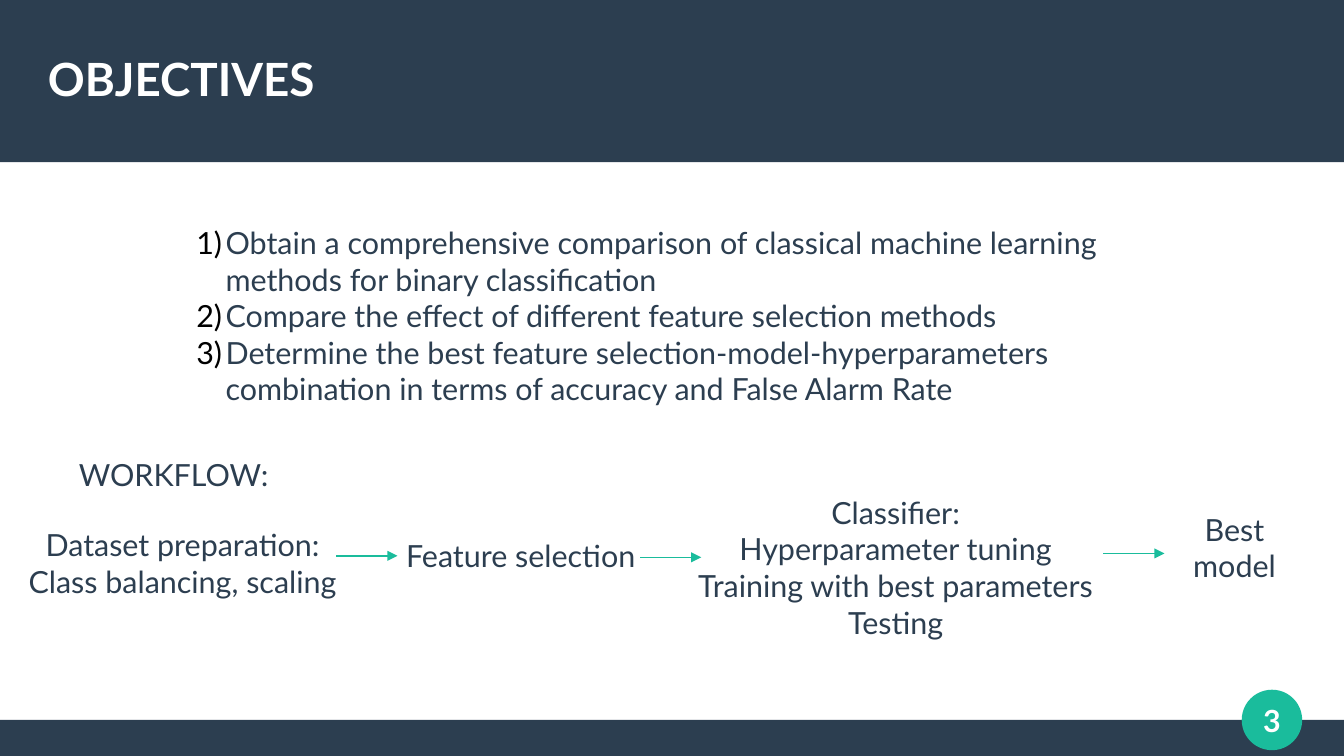
from lxml import etree
from pptx import Presentation
from pptx.dml import color
from pptx.enum import shapes, text
from pptx.oxml import ns
from pptx.util import Cm, Pt

HUES = {"navy": "2C3E50", "teal": "1ABC9C", "white": "FFFFFF", "black": "000000"}
BODY = {"name": "Lato", "size": Pt(18), "bold": False}
BOLD = {**BODY, "bold": True}
HEAD = {**BOLD, "size": Pt(27)}
MID, LEFT = text.PP_ALIGN.CENTER, text.PP_ALIGN.LEFT
HANG = Cm(0.61)

GOALS = [
    "Obtain a comprehensive comparison of classical machine learning "
    "methods for binary classification",
    "Compare the effect of different feature selection methods",
    "Determine the best feature selection-model-hyperparameters "
    "combination in terms of accuracy and False Alarm Rate",
]
# Left, top, width, height in cm, then the lines of text
STEPS = [
    (-0.64, 10.74, 8.89, 1.98, ["Dataset preparation:", "Class balancing, scaling"]),
    (7.04, 11.02, 7.62, 1.12, ["Feature selection"]),
    (13.26, 9.96, 10.8, 3.71, ["Classifier:", "Hyperparameter tuning",
                               "Training with best parameters", "Testing"]),
    (24.13, 10.41, 3.18, 1.98, ["Best model"]),
]
ARROWS = [(7.01, 11.58), (13.34, 11.61), (22.99, 11.53)]


def rgb(hue):
    return color.RGBColor.from_string(HUES[hue])


def add_tag(node, tag, **attrs):
    return etree.SubElement(node, ns.qn(tag), **attrs)


def add_num(para):
    """Number a paragraph as 1), 2), ... with a hanging indent."""
    props = para._p.get_or_add_pPr()
    props.set("marL", str(HANG))
    props.set("indent", str(-HANG))
    add_tag(add_tag(props, "a:buClr"), "a:srgbClr", val=HUES["black"])
    add_tag(props, "a:buFont", typeface="Lato")
    add_tag(props, "a:buAutoNum", type="arabicParenR")


def put_text(shape, lines, fmt=BODY, hue="navy", align=MID, nums=False, inset=True):
    frame = shape.text_frame
    frame.word_wrap = True
    frame.vertical_anchor = text.MSO_ANCHOR.MIDDLE
    if not inset:
        for side in ("left", "top", "right", "bottom"):
            setattr(frame, f"margin_{side}", 0)
    for i, line in enumerate(lines):
        para = frame.add_paragraph() if i else frame.paragraphs[0]
        para.alignment = align
        if nums:
            add_num(para)
        run = para.add_run()
        run.text = line
        for key, val in fmt.items():
            setattr(run.font, key, val)
        run.font.color.rgb = rgb(hue)


def add_box(slide, x, y, w, h, lines, **opts):
    box = slide.shapes.add_textbox(Cm(x), Cm(y), Cm(w), Cm(h))
    put_text(box, lines, **opts)


def add_form(slide, kind, x, y, w, h, hue):
    form = slide.shapes.add_shape(kind, Cm(x), Cm(y), Cm(w), Cm(h))
    form.shadow.inherit = False
    form.fill.solid()
    form.fill.fore_color.rgb = rgb(hue)
    form.line.fill.background()


def add_arrow(slide, x, y, span=1.27):
    arrow = slide.shapes.add_connector(
        shapes.MSO_CONNECTOR.STRAIGHT, Cm(x), Cm(y), Cm(x + span), Cm(y))
    arrow.line.color.rgb = rgb("teal")
    arrow.line.width = Pt(0.85)
    add_tag(arrow.line._get_or_add_ln(), "a:tailEnd", type="triangle")
    add_tag(arrow._element.spPr, "a:effectLst")


def set_title(slide, words):
    title = slide.shapes.title
    place = {"left": Cm(1), "top": Cm(0.63), "width": Cm(26), "height": Cm(2)}
    for key, val in place.items():
        setattr(title, key, val)
    put_text(title, [words], fmt=HEAD, hue="white", align=LEFT, inset=False)
    # Bring the title in front of the top band
    slide.shapes._spTree.append(title._element)


def main():
    deck = Presentation()
    deck.slide_width, deck.slide_height = Cm(28), Cm(15.75)
    slide = deck.slides.add_slide(deck.slide_layouts[5])
    rect, oval = shapes.MSO_SHAPE.RECTANGLE, shapes.MSO_SHAPE.OVAL

    # Bands, page number and title
    add_form(slide, rect, 0, 15, 28, 0.75, "navy")
    add_form(slide, rect, 0, 0, 28, 3.38, "navy")
    add_form(slide, oval, 25.87, 14.37, 1.26, 1.26, "teal")
    add_box(slide, 25.5, 14.25, 2, 1.5, ["3"], fmt=BOLD, hue="white", inset=False)
    set_title(slide, "OBJECTIVES")

    # Numbered goals
    add_box(slide, 3.84, 4.29, 20.32, 4.57, GOALS, align=LEFT, nums=True)

    # Workflow
    add_box(slide, 0.13, 9.32, 6.98, 1.12, ["WORKFLOW:"])
    for *place, lines in STEPS:
        add_box(slide, *place, lines)
    for x, y in ARROWS:
        add_arrow(slide, x, y)

    deck.save("out.pptx")


if __name__ == "__main__":
    main()
